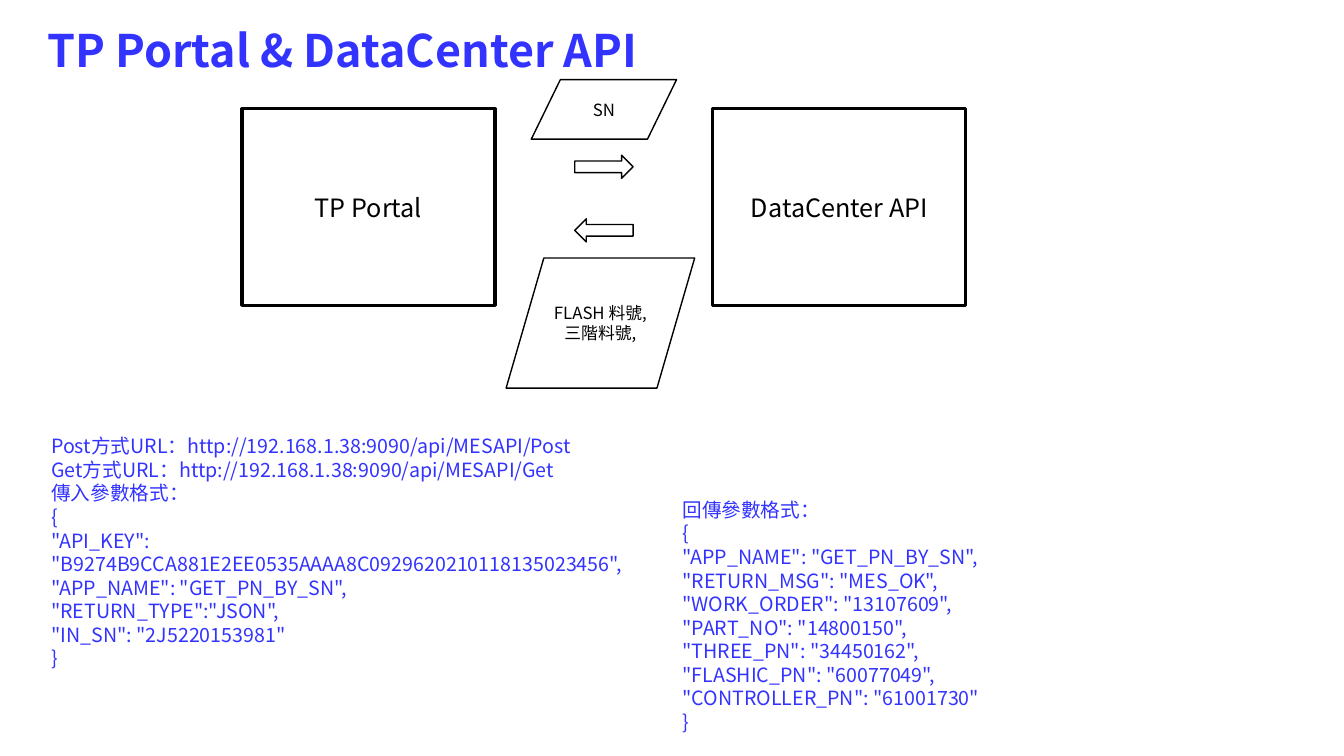
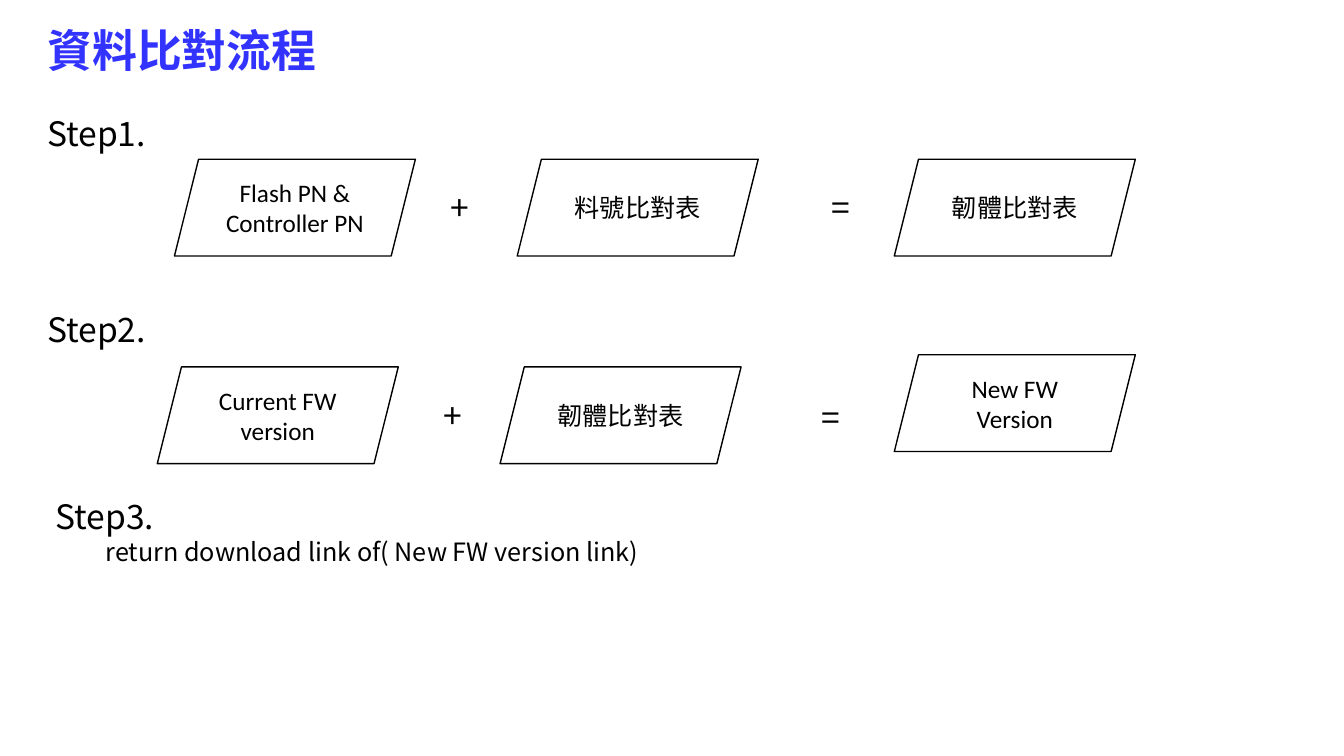
from lxml import etree
from pptx import Presentation
from pptx.dml.color import RGBColor
from pptx.enum import shapes, text
from pptx.oxml.ns import qn

PX = 9144  # EMU; 100 px to the inch
BLUE, BLACK, WHITE = "3333FF", "000000", "FFFFFF"
SANS, BODY = "Noto Sans CJK SC", "Calibri"
SHAPE, ALIGN, ANCHOR = shapes.MSO_SHAPE, text.PP_ALIGN, text.MSO_ANCHOR
TITLE_BOX = (37, 18, 824, 69)

# Slide 1: data exchange
API_TITLE = "TP Portal & DataCenter API"
SYSTEMS = [("TP Portal", 240), ("DataCenter API", 707)]
SYSTEM_TOP, SYSTEM_SIZE = 108, (251, 195)
ARROWS = [(154, 0), (217, 180)]  # top, rotation
ARROW_LEFT, ARROW_SIZE = 570, (58, 23)
MESSAGES = [
    (["SN"], (527, 79, 144, 59)),
    (["FLASH 料號,", "三階料號,"], (502, 256, 187, 129)),
]
REQUEST_BOX, RESPONSE_BOX = (41, 426, 667, 246), (667, 489, 667, 246)
REQUEST = [
    "Post方式URL：http://192.168.1.38:9090/api/MESAPI/Post",
    "Get方式URL：http://192.168.1.38:9090/api/MESAPI/Get",
    "傳入參數格式：",
    "{",
    '"API_KEY": "B9274B9CCA881E2EE0535AAAA8C0929620210118135023456",',
    '"APP_NAME": "GET_PN_BY_SN",',
    '"RETURN_TYPE":"JSON",',
    '"IN_SN": "2J5220153981"',
    "}",
]
RESPONSE = [
    "回傳參數格式：",
    "{",
    '"APP_NAME": "GET_PN_BY_SN",',
    '"RETURN_MSG": "MES_OK",',
    '"WORK_ORDER": "13107609",',
    '"PART_NO": "14800150",',
    '"THREE_PN": "34450162",',
    '"FLASHIC_PN": "60077049",',
    '"CONTROLLER_PN": "61001730"',
    "}",
]

# Slide 2: comparison steps
FLOW_TITLE = "資料比對流程"
STEPS = [  # heading, top; data (text, left, top); operators (sign, left, top)
    ("Step1.", 107,
     [("Flash PN &\nController PN", 173, 158), ("料號比對表", 513, 158), ("韌體比對表", 887, 158)],
     [("+", 437, 181), ("=", 815, 181)]),
    ("Step2.", 302,
     [("Current FW version", 156, 364), ("韌體比對表", 496, 364), ("New FW Version", 887, 352)],
     [("+", 430, 387), ("=", 805, 389)]),
]
HEADING_LEFT, HEADING_SIZE = 37, (256, 50)
DATA_SIZE, OPERATOR_SIZE = (239, 96), (46, 50)
LAST_STEP = ["Step3.", "\treturn download link of( New FW version link)"]
LAST_STEP_BOX = (45, 487, 647, 91)


def rgb(code):
    return RGBColor.from_string(code)


def emu(box):
    return [value * PX for value in box]


def write(frame, lines, size, color=BLACK, font=SANS, align=ALIGN.LEFT, bold=False):
    frame.word_wrap = True
    for index, line in enumerate(lines):
        paragraph = frame.add_paragraph() if index else frame.paragraphs[0]
        paragraph.text = line
        paragraph.alignment = align
        style = paragraph.font
        style.size, style.bold = size * 12700, bold
        style.color.rgb = rgb(color)
        style.name = font
        # East Asian glyphs take the same typeface
        properties = paragraph._p.pPr.find(qn("a:defRPr"))
        etree.SubElement(properties, qn("a:ea")).set("typeface", font)


def add_text(slide, box, lines, size, **style):
    frame = slide.shapes.add_textbox(*emu(box)).text_frame
    write(frame, lines, size, **style)
    return frame


def add_outlined(slide, kind, box, lines=(), size=12, fill=WHITE, weight=1, font=SANS):
    shape = slide.shapes.add_shape(kind, *emu(box))
    shape.shadow.inherit = False
    if fill:
        shape.fill.solid()
        shape.fill.fore_color.rgb = rgb(fill)
    else:
        shape.fill.background()
    shape.line.color.rgb = rgb(BLACK)
    shape.line.width = int(weight * 12700)
    shape.text_frame.vertical_anchor = ANCHOR.MIDDLE
    write(shape.text_frame, lines, size, font=font, align=ALIGN.CENTER)
    return shape


def add_titled_slide(deck, heading):
    slide = deck.slides.add_slide(deck.slide_layouts[5])
    title = slide.shapes.title
    title.left, title.top, title.width, title.height = emu(TITLE_BOX)
    frame = title.text_frame
    frame.auto_size = text.MSO_AUTO_SIZE.NONE
    frame.vertical_anchor = ANCHOR.MIDDLE
    write(frame, [heading], 32, color=BLUE, bold=True)
    frame.paragraphs[0].line_spacing = 0.9
    return slide


def build_api(deck):
    slide = add_titled_slide(deck, API_TITLE)
    for name, left in SYSTEMS:
        add_outlined(slide, SHAPE.RECTANGLE, (left, SYSTEM_TOP, *SYSTEM_SIZE),
                     [name], 18, fill=None, weight=2.25)
    for top, rotation in ARROWS:
        arrow = add_outlined(slide, SHAPE.RIGHT_ARROW, (ARROW_LEFT, top, *ARROW_SIZE))
        arrow.rotation = rotation
    for lines, box in MESSAGES:
        add_outlined(slide, SHAPE.FLOWCHART_DATA, box, lines)
    add_text(slide, REQUEST_BOX, REQUEST, 14, color=BLUE)
    add_text(slide, RESPONSE_BOX, RESPONSE, 14, color=BLUE, align=ALIGN.JUSTIFY)


def build_flow(deck):
    slide = add_titled_slide(deck, FLOW_TITLE)
    for heading, heading_top, data, operators in STEPS:
        add_text(slide, (HEADING_LEFT, heading_top, *HEADING_SIZE), [heading], 24)
        for label, left, top in data:
            add_outlined(slide, SHAPE.PARALLELOGRAM, (left, top, *DATA_SIZE),
                         [label], 18, font=BODY)
        for sign, left, top in operators:
            add_text(slide, (left, top, *OPERATOR_SIZE), [sign], 24)
    last = add_text(slide, LAST_STEP_BOX, LAST_STEP, 24)
    last.paragraphs[1].font.size = 18 * 12700


def main():
    deck = Presentation()
    deck.slide_width, deck.slide_height = emu((1333, 750))
    build_api(deck)
    build_flow(deck)
    deck.save("out.pptx")


if __name__ == "__main__":
    main()
